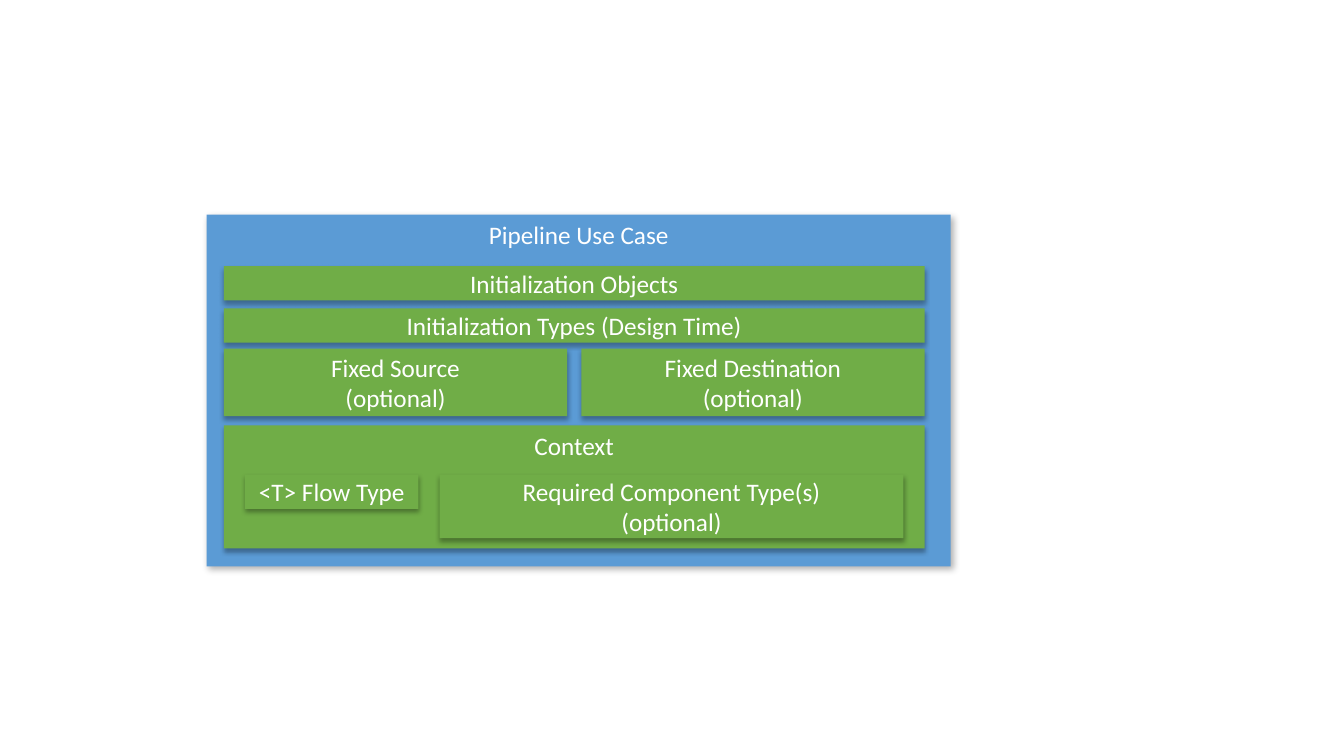
"""Build the nested block diagram of a pipeline use case."""
from dataclasses import dataclass

from lxml import etree
from pptx import Presentation
from pptx.dml.color import RGBColor
from pptx.enum import shapes, text
from pptx.oxml import ns
from pptx.util import Inches, Pt


@dataclass(frozen=True)
class Theme:
    font: str = "Calibri"
    size: int = 18
    ink: str = "FFFFFF"
    frame: str = "5B9BD5"
    block: str = "70AD47"
    shadow: str = "000000"


THEME = Theme()
FRAME_SHADOW = {"alpha": 30, "blur": 4.5, "distance": 2.6, "angle": 53}
BLOCK_SHADOW = {"alpha": 32, "blur": 3.5, "distance": 2.2, "angle": 90}

USE_CASE = ["Pipeline Use Case"]
CONTEXT = ["Context"]
INITIALIZATION = [["Initialization Objects"], ["Initialization Types (Design Time)"]]
ENDPOINTS = [["Fixed Source", "(optional)"], ["Fixed Destination", "(optional)"]]
FLOW_TYPE = ["<T> Flow Type"]
COMPONENT_TYPES = ["Required Component Type(s)", "(optional)"]

FRAME = (2.05, 2.13, 7.38, 3.49)
LEFT, WIDTH = 2.22, 6.95
ROW_TOP, ROW_HEIGHT, ROW_STEP = 2.64, 0.34, 0.42
ENDPOINT_TOP, ENDPOINT_HEIGHT, ENDPOINT_GAP = 3.46, 0.67, 0.14
CONTEXT_TOP, CONTEXT_HEIGHT = 4.22, 1.22
INNER_TOP, INNER_MARGIN, INNER_GAP = 4.71, 0.21, 0.21
FLOW_WIDTH, COMPONENT_HEIGHT = 1.72, 0.63


def add_shadow(box, alpha, blur, distance, angle):
    """Give the box a soft outer shadow."""
    box.shadow.inherit = False
    effects = box._element.spPr.find(ns.qn("a:effectLst"))
    outer = etree.SubElement(
        effects, ns.qn("a:outerShdw"), blurRad=str(Pt(blur)), dist=str(Pt(distance)),
        dir=str(angle * 60000), algn="t", rotWithShape="0")
    color = etree.SubElement(outer, ns.qn("a:srgbClr"), val=THEME.shadow)
    etree.SubElement(color, ns.qn("a:alpha"), val=str(alpha * 1000))


def add_block(page, place, lines, anchor=text.MSO_ANCHOR.MIDDLE,
              fill=THEME.block, shadow=BLOCK_SHADOW):
    """Add a filled rectangle with centred lines of text."""
    box = page.shapes.add_shape(shapes.MSO_SHAPE.RECTANGLE, *map(Inches, place))
    box.fill.solid()
    box.fill.fore_color.rgb = RGBColor.from_string(fill)
    box.line.fill.background()
    add_shadow(box, **shadow)
    frame = box.text_frame
    frame.word_wrap = True
    frame.vertical_anchor = anchor
    for index, line in enumerate(lines):
        para = frame.add_paragraph() if index else frame.paragraphs[0]
        para.alignment = text.PP_ALIGN.CENTER
        span = para.add_run()
        span.text = line
        span.font.name = THEME.font
        span.font.size = Pt(THEME.size)
        span.font.color.rgb = RGBColor.from_string(THEME.ink)


def main():
    """Lay out the diagram and save the deck."""
    deck = Presentation()
    deck.slide_width, deck.slide_height = Inches(13.33), Inches(7.5)
    page = deck.slides.add_slide(deck.slide_layouts[6])
    top = text.MSO_ANCHOR.TOP

    add_block(page, FRAME, USE_CASE, top, THEME.frame, FRAME_SHADOW)
    for index, lines in enumerate(INITIALIZATION):
        add_block(page, (LEFT, ROW_TOP + index * ROW_STEP, WIDTH, ROW_HEIGHT), lines)

    endpoint_width = (WIDTH - ENDPOINT_GAP) / 2
    for index, lines in enumerate(ENDPOINTS):
        left = LEFT + index * (endpoint_width + ENDPOINT_GAP)
        add_block(page, (left, ENDPOINT_TOP, endpoint_width, ENDPOINT_HEIGHT), lines)

    add_block(page, (LEFT, CONTEXT_TOP, WIDTH, CONTEXT_HEIGHT), CONTEXT, top)
    flow_left = LEFT + INNER_MARGIN
    component_left = flow_left + FLOW_WIDTH + INNER_GAP
    component_width = LEFT + WIDTH - INNER_MARGIN - component_left
    add_block(page, (flow_left, INNER_TOP, FLOW_WIDTH, ROW_HEIGHT), FLOW_TYPE)
    add_block(page, (component_left, INNER_TOP, component_width, COMPONENT_HEIGHT),
              COMPONENT_TYPES)
    deck.save("out.pptx")


if __name__ == "__main__":
    main()
